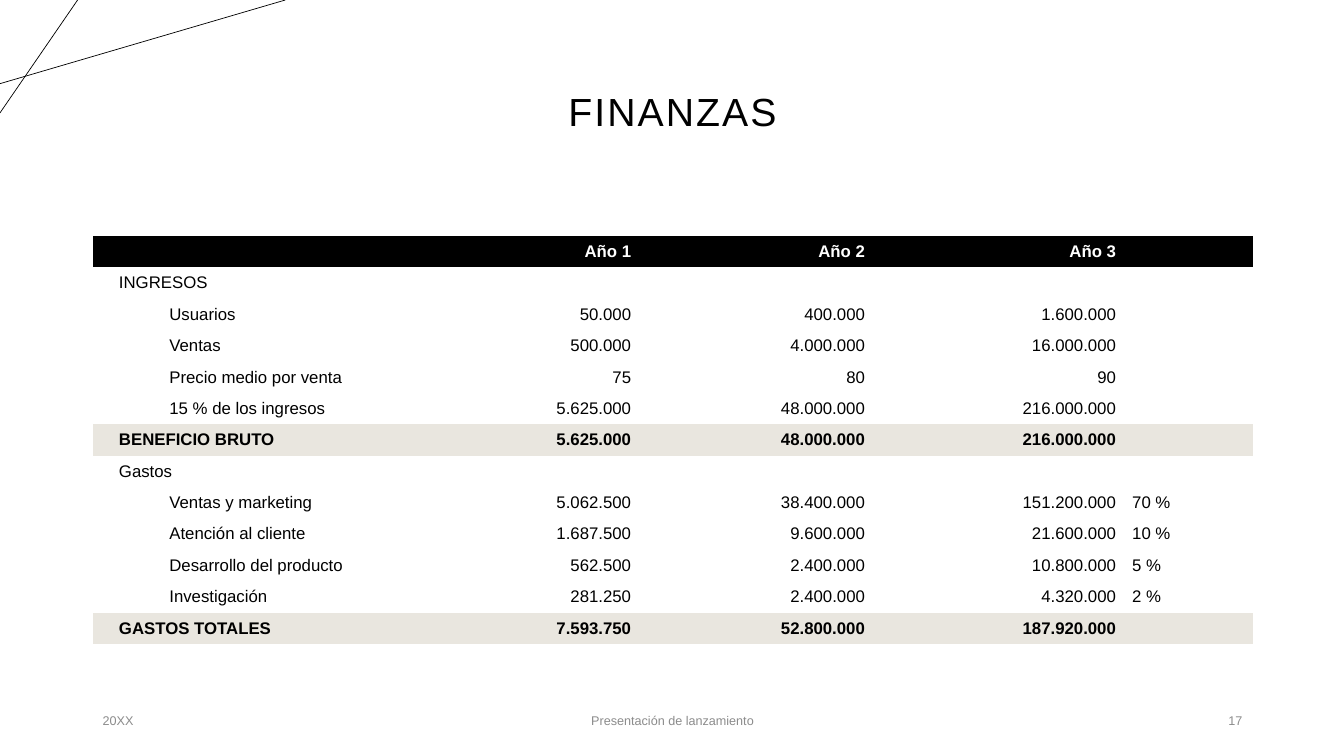
"""Build the Finanzas slide: a three-year table of income and expenses."""
from dataclasses import dataclass

from lxml import etree
from pptx import Presentation
from pptx.dml.color import RGBColor
from pptx.enum import shapes, text
from pptx.oxml.ns import qn
from pptx.util import Inches, Pt

HEADING = "FINANZAS"
FINANCES = [
    ("head", "", "Año 1", "Año 2", "Año 3", ""),
    ("group", "INGRESOS", "", "", "", ""),
    ("item", "Usuarios", "50.000", "400.000", "1.600.000", ""),
    ("item", "Ventas", "500.000", "4.000.000", "16.000.000", ""),
    ("item", "Precio medio por venta", "75", "80", "90", ""),
    ("item", "15 % de los ingresos", "5.625.000", "48.000.000", "216.000.000", ""),
    ("total", "BENEFICIO BRUTO", "5.625.000", "48.000.000", "216.000.000", ""),
    ("group", "Gastos", "", "", "", ""),
    ("item", "Ventas y marketing", "5.062.500", "38.400.000", "151.200.000", "70 %"),
    ("item", "Atención al cliente", "1.687.500", "9.600.000", "21.600.000", "10 %"),
    ("item", "Desarrollo del producto", "562.500", "2.400.000", "10.800.000", "5 %"),
    ("item", "Investigación", "281.250", "2.400.000", "4.320.000", "2 %"),
    ("total", "GASTOS TOTALES", "7.593.750", "52.800.000", "187.920.000", ""),
]
COLUMN_WIDTHS = [3.54, 1.88, 2.32, 2.49, 1.28]
LEFT, CENTER, RIGHT = text.PP_ALIGN.LEFT, text.PP_ALIGN.CENTER, text.PP_ALIGN.RIGHT
COLUMN_ALIGNS = [LEFT, RIGHT, RIGHT, RIGHT, LEFT]
FOOTER = [
    ("20XX", 0.92, 3, LEFT),
    ("Presentación de lanzamiento", 4.42, 4.5, CENTER),
    ("17", 9.42, 3, RIGHT),
]
CORNER_LINES = [(0, 0.83, 2.83, 0), (0.77, 0, 0, 1.12)]
MARGIN, CONTENT_WIDTH = 0.92, 11.5
TABLE_TOP, TABLE_HEIGHT = 2.34, 4.05
PLAIN_TABLE_STYLE = "{2D5ABB26-0587-4C30-8999-92F81FD0307C}"


@dataclass(frozen=True)
class Theme:
    font: str = "Arial"
    ink: str = "000000"
    paper: str = "FFFFFF"
    band: str = "E9E6DF"
    muted: str = "8C8C8C"
    title_size: float = 28
    table_size: float = 12
    footer_size: float = 9
    line_width: float = 0.5


THEME = Theme()
ROW_FILLS = {"head": THEME.ink, "total": THEME.band}


def add_words(paragraph, words, size, color, align, bold=False):
    paragraph.alignment = align
    run = paragraph.add_run()
    run.text = words
    run.font.name = THEME.font
    run.font.size = Pt(size)
    run.font.bold = bold
    run.font.color.rgb = RGBColor.from_string(color)
    return run


def add_corner_lines(slide):
    for ends in CORNER_LINES:
        line = slide.shapes.add_connector(
            shapes.MSO_CONNECTOR.STRAIGHT, *(Inches(end) for end in ends))
        line.line.color.rgb = RGBColor.from_string(THEME.ink)
        line.line.width = Pt(THEME.line_width)
        etree.SubElement(line._element.spPr, qn("a:effectLst"))


def add_heading(slide):
    heading = slide.shapes.title
    heading.left, heading.top = Inches(MARGIN), Inches(0.4)
    heading.width, heading.height = Inches(CONTENT_WIDTH), Inches(1.45)
    frame = heading.text_frame
    frame.vertical_anchor = text.MSO_ANCHOR.MIDDLE
    frame.paragraphs[0].line_spacing = 0.9
    run = add_words(frame.paragraphs[0], HEADING, THEME.title_size, THEME.ink, CENTER)
    run._r.get_or_add_rPr().set("spc", "150")


def fill_cell(cell, kind, column, words):
    if kind in ROW_FILLS:
        cell.fill.solid()
        cell.fill.fore_color.rgb = RGBColor.from_string(ROW_FILLS[kind])
    else:
        cell.fill.background()
    cell.vertical_anchor = text.MSO_ANCHOR.MIDDLE
    cell.margin_left = Inches(0.08 if column else 0.26)
    cell.margin_right = Inches(0.08)
    cell.margin_top = cell.margin_bottom = Inches(0.04)
    paragraph = cell.text_frame.paragraphs[0]
    if not words:
        end = etree.SubElement(paragraph._p, qn("a:endParaRPr"))
        end.set("sz", str(int(THEME.table_size * 100)))
        return
    color = THEME.paper if kind == "head" else THEME.ink
    add_words(paragraph, words, THEME.table_size, color,
              COLUMN_ALIGNS[column], kind in ROW_FILLS)
    if kind == "item" and column == 0:
        paragraph.level = 1
        indent = paragraph._p.get_or_add_pPr()
        indent.set("marL", str(Inches(0.5)))
        indent.set("indent", "0")


def add_finances(slide):
    frame = slide.shapes.add_table(
        len(FINANCES), len(COLUMN_WIDTHS), Inches(MARGIN), Inches(TABLE_TOP),
        Inches(CONTENT_WIDTH), Inches(TABLE_HEIGHT))
    finances = frame.table
    finances.first_row = finances.horz_banding = False
    finances._tbl.tblPr.find(qn("a:tableStyleId")).text = PLAIN_TABLE_STYLE
    for column, width in zip(finances.columns, COLUMN_WIDTHS):
        column.width = Inches(width)
    for row, (kind, *entries) in zip(finances.rows, FINANCES):
        row.height = Inches(TABLE_HEIGHT / len(FINANCES))
        for column, words in enumerate(entries):
            fill_cell(row.cells[column], kind, column, words)


def add_footer(slide):
    for words, left, width, align in FOOTER:
        note = slide.shapes.add_textbox(
            Inches(left), Inches(6.95), Inches(width), Inches(0.4))
        frame = note.text_frame
        frame.word_wrap = True
        frame.vertical_anchor = text.MSO_ANCHOR.MIDDLE
        add_words(frame.paragraphs[0], words, THEME.footer_size, THEME.muted, align)


def main():
    deck = Presentation()
    deck.slide_width, deck.slide_height = Inches(13.33), Inches(7.5)
    slide = deck.slides.add_slide(deck.slide_layouts[5])
    add_corner_lines(slide)
    add_heading(slide)
    add_finances(slide)
    add_footer(slide)
    deck.save("out.pptx")


if __name__ == "__main__":
    main()
